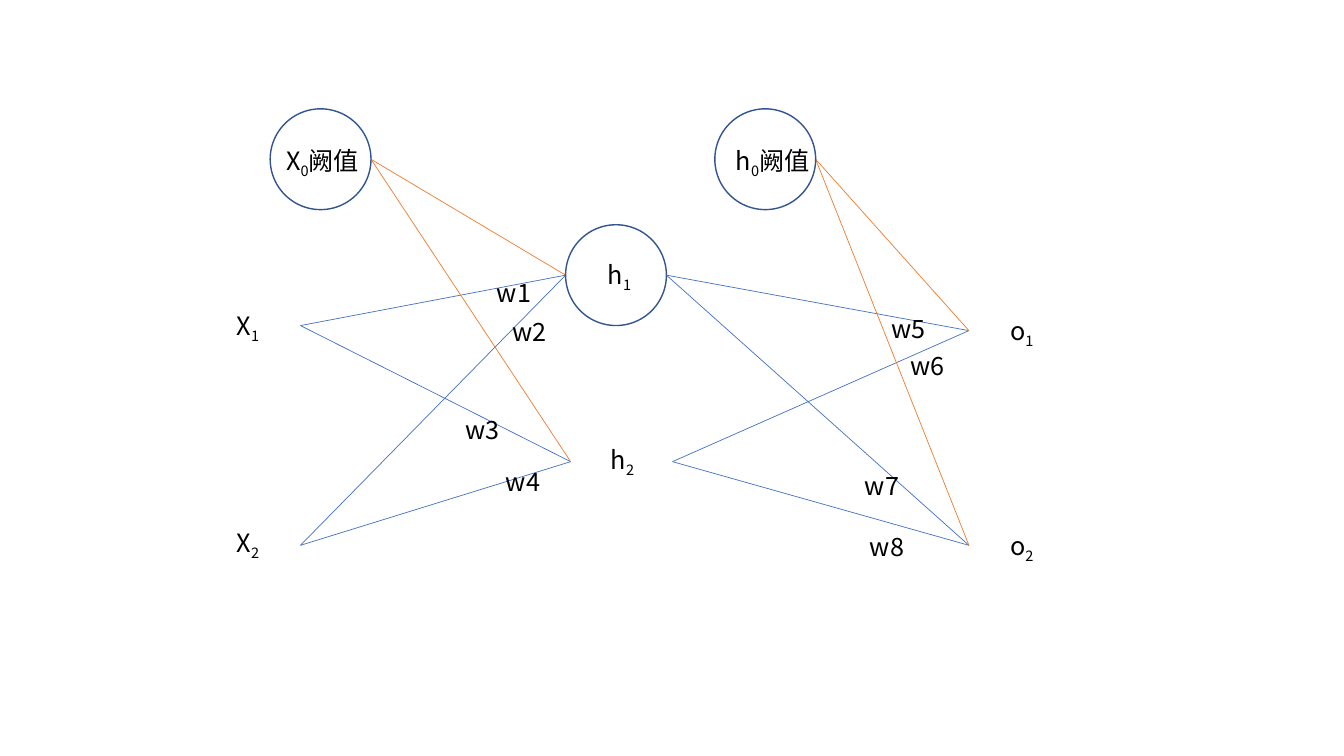
import pptx
import pptx.util
import pptx.dml.color
import pptx.enum.shapes
import pptx.enum.text
import pptx.oxml.ns
from lxml import etree

PX = 9144  # 100 px to the inch
FONT = "Noto Sans CJK SC"
BLACK = pptx.dml.color.RGBColor(0x00, 0x00, 0x00)
NAVY = pptx.dml.color.RGBColor(0x32, 0x54, 0x91)
BLUE = pptx.dml.color.RGBColor(0x44, 0x72, 0xC4)
ORANGE = pptx.dml.color.RGBColor(0xED, 0x7D, 0x31)
CIRCLE = 100
TEXT_HEIGHT = 40


def add_text(page, x, y, width, text, sub="", tail="", wrap=True, size=18, color=BLACK):
    """Place a label made of text, an optional subscript and the text after it."""
    box = page.shapes.add_textbox(x * PX, y * PX, width * PX, TEXT_HEIGHT * PX)
    frame = box.text_frame
    frame.word_wrap = wrap
    frame.auto_size = pptx.enum.text.MSO_AUTO_SIZE.SHAPE_TO_FIT_TEXT
    para = frame.paragraphs[0]
    for part, baseline in ((text, 0), (sub, -25000), (tail, 0)):
        if not part:
            continue
        span = para.add_run()
        span.text = part
        span.font.size = pptx.util.Pt(size)
        span.font.name = FONT
        span.font.color.rgb = color
        properties = span.font._element
        etree.SubElement(properties, pptx.oxml.ns.qn("a:ea"), typeface=FONT)
        if baseline:
            properties.set("baseline", str(baseline))


def add_circle(page, x, y):
    circle = page.shapes.add_shape(
        pptx.enum.shapes.MSO_SHAPE.OVAL, x * PX, y * PX, CIRCLE * PX, CIRCLE * PX)
    circle.shadow.inherit = False
    circle.fill.background()
    circle.line.color.rgb = NAVY
    circle.line.width = pptx.util.Pt(1)


def add_edge(page, start, end, color):
    edge = page.shapes.add_connector(
        pptx.enum.shapes.MSO_CONNECTOR.STRAIGHT, *(value * PX for value in (*start, *end)))
    edge.line.color.rgb = color
    edge.line.width = pptx.util.Pt(0.5)
    etree.SubElement(edge._element.spPr, pptx.oxml.ns.qn("a:effectLst"))


def add_stage(page, left, top, bias, sources, targets, nodes, weights):
    """Draw one fully connected stage with its bias node, node names and weights."""
    def place(x, y):
        return left + x, top + y

    letter, circle_x, label_x, label_width = bias
    bias_exit = place(circle_x + CIRCLE, CIRCLE // 2)
    starts = [(place(*source), BLUE) for source in sources] + [(bias_exit, ORANGE)]
    for start, color in starts:
        for target in targets:
            add_edge(page, start, place(*target), color)
    add_circle(page, *place(circle_x, 0))
    add_text(page, *place(label_x, 31), label_width, letter, "0", "阙值")
    for letter, index, x, y, width, wrap in nodes:
        add_text(page, *place(x, y), width, letter, index, wrap=wrap)
    for name, x, y in weights:
        add_text(page, *place(x, y), 79, name)


def add_hidden_layer(page, left, top):
    add_circle(page, left, top)
    for index, x, y in (("1", 32, 29), ("2", 35, 213)):
        add_text(page, left + x, top + y, 43, "h", index, wrap=False)


def main():
    deck = pptx.Presentation()
    deck.slide_width, deck.slide_height = 1333 * PX, 750 * PX
    page = deck.slides.add_slide(deck.slide_layouts[6])
    add_stage(
        page, 225, 108,
        bias=("X", 43, 49, 94),
        sources=[(73, 215), (73, 433)],
        targets=[(336, 165), (341, 350)],
        nodes=[("X", "1", 0, 195, 70, True), ("X", "2", 0, 410, 50, True)],
        weights=[("w1", 258, 162), ("w2", 273, 201), ("w3", 227, 298), ("w4", 267, 350)])
    add_hidden_layer(page, 561, 223)
    add_stage(
        page, 661, 108,
        bias=("h", 48, 59, 94),
        sources=[(0, 165), (6, 350)],
        targets=[(300, 220), (300, 433)],
        nodes=[("o", "1", 331, 200, 44, False), ("o", "2", 331, 413, 44, False)],
        weights=[("w5", 213, 198), ("w6", 232, 235), ("w7", 187, 354), ("w8", 192, 414)])
    deck.save("out.pptx")


if __name__ == "__main__":
    main()
